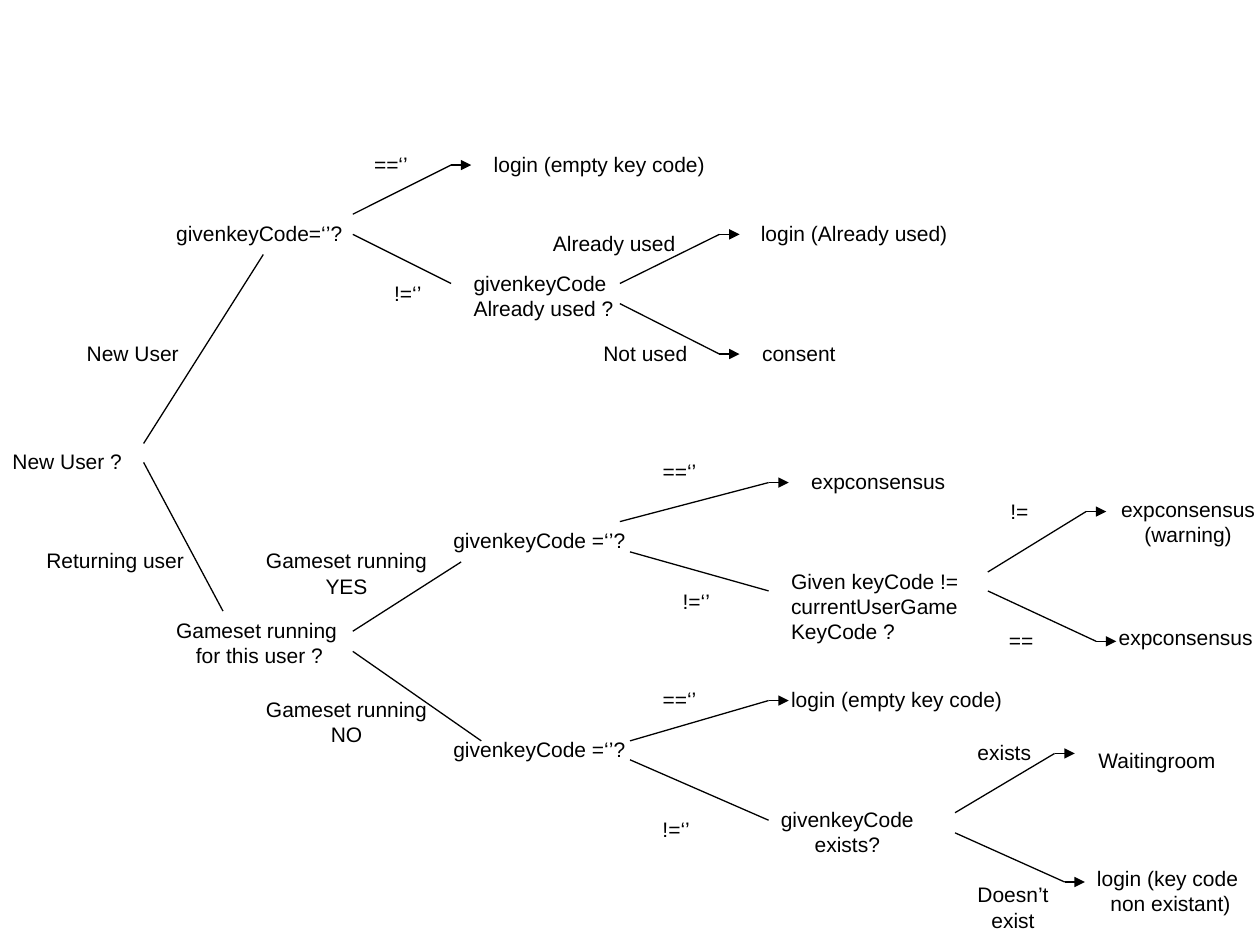
from typing import NamedTuple

from lxml.etree import SubElement
from pptx import Presentation
from pptx.dml.color import RGBColor
from pptx.enum.shapes import MSO_CONNECTOR
from pptx.enum.text import MSO_AUTO_SIZE, PP_ALIGN
from pptx.oxml.ns import qn
from pptx.util import Inches, Pt

COLORS = {"ink": "000000", "paper": "FFFFFF"}
FONT = "Arial"
TIP = 0.16  # length of the flat arrow after a slanted branch
SLACK = 0.04  # spare width that keeps each line of a label whole


class Label(NamedTuple):
    """A label; \\n parts paragraphs and \\v parts lines."""
    text: str
    x: float
    y: float
    w: float
    center: bool = False
    wrap: bool = False


class Branch(NamedTuple):
    x: float
    y: float
    to_x: float
    to_y: float
    leaf: bool = False  # a leaf branch ends in an arrow


QUESTIONS = [
    Label("New User ?", 0, 3.51, 1.07),
    Label("givenkeyCode=‘’?", 1.3, 1.7, 1.52),
    Label("givenkeyCode\nAlready used ?", 3.66, 2.1, 1.31),
    Label("Gameset running \vfor this user ?", 1.3, 4.85, 1.52, center=True),
    Label("givenkeyCode =‘’?", 3.5, 4.14, 1.56),
    Label("Given keyCode !=\ncurrentUserGame\nKeyCode ?", 6.18, 4.46, 1.53),
    Label("givenkeyCode =‘’?", 3.5, 5.8, 1.56),
    Label("givenkeyCode\nexists?", 6.1, 6.35, 1.25, center=True),
]

ANSWERS = [
    Label("New User", 0.59, 2.65, 0.93),
    Label("Returning user", 0.27, 4.3, 1.29),
    Label("==‘’", 2.87, 1.15, 0.47),
    Label("!=‘’", 3.03, 2.18, 0.42),
    Label("Already used", 4.29, 1.78, 1.17),
    Label("Not used", 4.69, 2.65, 0.95, wrap=True),
    Label("Gameset running\vYES", 2.01, 4.3, 1.48, center=True),
    Label("Gameset running\vNO", 2.01, 5.48, 1.48, center=True),
    Label("==‘’", 5.16, 3.59, 0.47),
    Label("!=‘’", 5.32, 4.62, 0.42),
    Label("!=", 7.92, 3.91, 0.34),
    Label("==", 7.91, 4.93, 0.39),
    Label("==‘’", 5.16, 5.4, 0.47),
    Label("!=‘’", 5.16, 6.43, 0.42),
    Label("exists", 7.66, 5.82, 0.62),
    Label("Doesn’t\vexist", 7.66, 6.95, 0.76, center=True),
]

RESULTS = [
    Label("login (empty key code)", 3.82, 1.15, 1.87),
    Label("login (Already used)", 5.94, 1.7, 1.73, wrap=True),
    Label("consent", 5.95, 2.65, 0.78),
    Label("expconsensus", 6.34, 3.67, 1.26),
    Label("expconsensus\n(warning)", 8.8, 3.89, 1.26, center=True),
    Label("expconsensus", 8.78, 4.91, 1.26),
    Label("login (empty key code)", 6.18, 5.4, 1.87),
    Label("Waitingroom", 8.62, 5.88, 1.13),
    Label("login (key code \vnon existant)", 8.61, 6.82, 1.36, center=True),
]

BRANCHES = [
    Branch(1.14, 3.52, 2.09, 2.02),
    Branch(1.14, 3.67, 1.77, 4.85),
    Branch(2.8, 1.7, 3.58, 1.31, leaf=True),
    Branch(2.8, 1.86, 3.58, 2.25),
    Branch(4.92, 2.25, 5.71, 1.86, leaf=True),
    Branch(4.92, 2.41, 5.71, 2.81, leaf=True),
    Branch(2.8, 5.01, 3.66, 4.46),
    Branch(2.8, 5.17, 3.82, 5.88),
    Branch(4.92, 4.14, 6.1, 3.83, leaf=True),
    Branch(5, 4.38, 6.1, 4.69),
    Branch(7.84, 4.54, 8.62, 4.06, leaf=True),
    Branch(7.84, 4.69, 8.7, 5.09, leaf=True),
    Branch(5, 5.88, 6.1, 5.56, leaf=True),
    Branch(5, 6.03, 6.1, 6.51),
    Branch(7.58, 6.45, 8.37, 5.98, leaf=True),
    Branch(7.58, 6.61, 8.45, 7, leaf=True),
]


def put_text(slide, text: str, *, x: float, y: float, w: float,
             center: bool = False, wrap: bool = False,
             size: int = 12, color: str = "ink") -> None:
    high = 0.1 + 0.2 * len(text.splitlines())
    left = x - SLACK / 2 if center else x
    box = slide.shapes.add_textbox(
        Inches(left), Inches(y), Inches(w + SLACK), Inches(high))
    frame = box.text_frame
    frame.word_wrap = wrap
    frame.auto_size = MSO_AUTO_SIZE.SHAPE_TO_FIT_TEXT
    frame.text = text
    for para in frame.paragraphs:
        para.alignment = PP_ALIGN.CENTER if center else PP_ALIGN.LEFT
        for run in para.runs:
            run.font.name = FONT
            run.font.size = Pt(size)
            run.font.color.rgb = RGBColor.from_string(COLORS[color])
        for gap in para._p.findall(qn("a:br")):
            SubElement(gap, qn("a:rPr"), sz=str(size * 100))


def put_line(slide, x: float, y: float, to_x: float, to_y: float,
             arrow: bool = False) -> None:
    line = slide.shapes.add_connector(
        MSO_CONNECTOR.STRAIGHT, Inches(x), Inches(y), Inches(to_x), Inches(to_y))
    line.line.color.rgb = RGBColor.from_string(COLORS["ink"])
    line.line.width = Pt(0.75)
    props = line._element.spPr
    if arrow:
        SubElement(props.find(qn("a:ln")), qn("a:tailEnd"), type="triangle")
    SubElement(props, qn("a:effectLst"))


def put_branch(slide, branch: Branch) -> None:
    put_line(slide, branch.x, branch.y, branch.to_x, branch.to_y)
    if branch.leaf:
        put_line(slide, branch.to_x, branch.to_y,
                 branch.to_x + TIP, branch.to_y, arrow=True)


def main() -> None:
    deck = Presentation()
    deck.slide_width, deck.slide_height = Inches(10), Inches(7.5)
    slide = deck.slides.add_slide(deck.slide_layouts[6])
    fill = slide.background.fill
    fill.solid()
    fill.fore_color.rgb = RGBColor.from_string(COLORS["paper"])
    for branch in BRANCHES:
        put_branch(slide, branch)
    for label in QUESTIONS + ANSWERS + RESULTS:
        put_text(slide, **label._asdict())
    deck.save("out.pptx")


if __name__ == "__main__":
    main()
